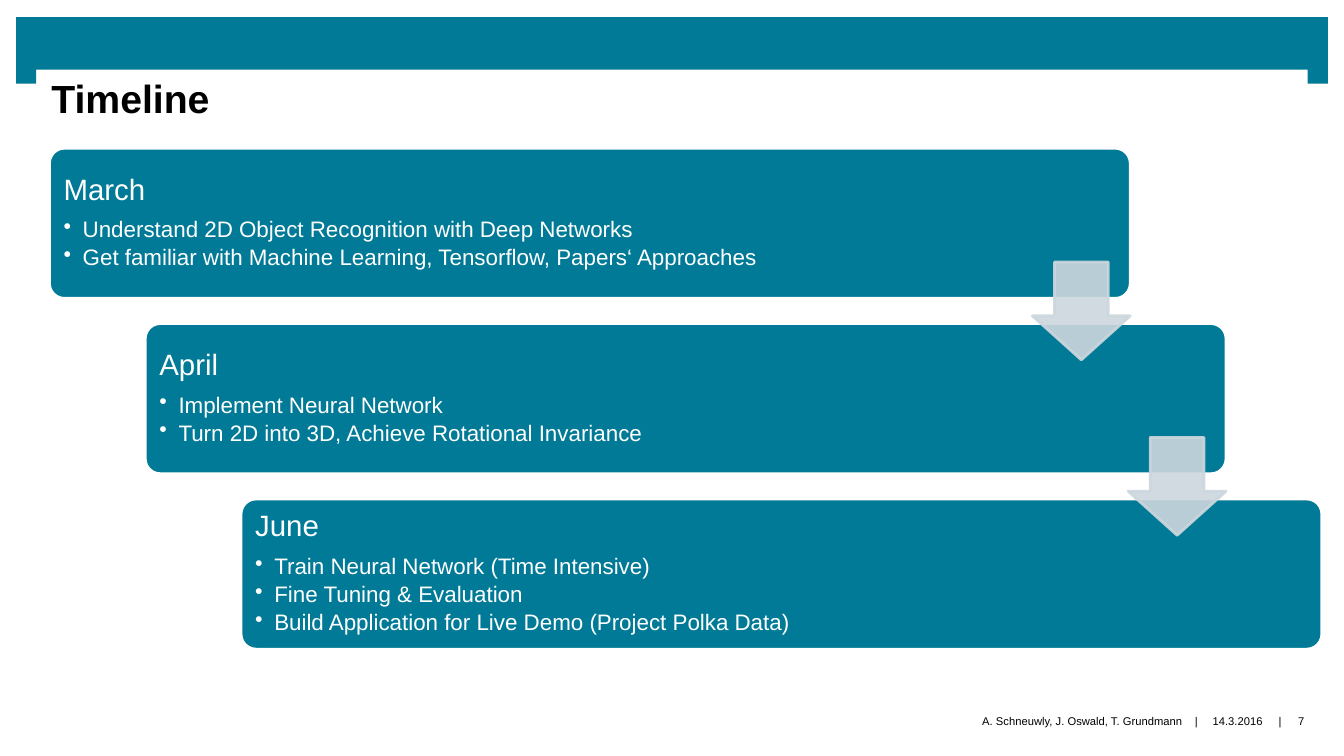
from lxml import etree
from pptx import Presentation
from pptx.dml.color import RGBColor
from pptx.enum.shapes import MSO_SHAPE
from pptx.enum.text import MSO_ANCHOR, PP_ALIGN
from pptx.oxml.ns import qn
from pptx.util import Inches, Pt

RECTANGLE = MSO_SHAPE.RECTANGLE
ROUNDED = MSO_SHAPE.ROUNDED_RECTANGLE
DOWN_ARROW = MSO_SHAPE.DOWN_ARROW
TOP, MIDDLE = MSO_ANCHOR.TOP, MSO_ANCHOR.MIDDLE
LEFT, CENTER, RIGHT = PP_ALIGN.LEFT, PP_ALIGN.CENTER, PP_ALIGN.RIGHT

COLORS = {"teal": "007A96", "arrow": "CCD7DD", "white": "FFFFFF", "black": "000000"}
RGB = {name: RGBColor.from_string(value) for name, value in COLORS.items()}

STEPS = [
    ("March", 9.11, [
        "Understand 2D Object Recognition with Deep Networks",
        "Get familiar with Machine Learning, Tensorflow, Papers‘ Approaches",
    ]),
    ("April", 8.71, [
        "Implement Neural Network",
        "Turn 2D into 3D, Achieve Rotational Invariance",
    ]),
    ("June", 8.71, [
        "Train Neural Network (Time Intensive)",
        "Fine Tuning & Evaluation",
        "Build Application for Live Demo (Project Polka Data)",
    ]),
]
STEP_LEFT, STEP_TOP = 0.49, 1.47
STEP_SHIFT, STEP_PITCH = 0.95, 1.74
ARROW_LEFT, ARROW_TOP, ARROW_SIZE = 10.24, 2.6, 0.97

FOOTER = [
    ("A. Schneuwly, J. Oswald, T. Grundmann", 6.66, 5.07, RIGHT),
    ("|", 11.79, 0.15, CENTER),
    ("14.3.2016", 11.94, 0.67, CENTER),
    ("|", 12.62, 0.15, CENTER),
    ("7", 12.71, 0.39, CENTER),
]

presentation = Presentation()
presentation.slide_width = Inches(13.33)
presentation.slide_height = Inches(7.5)
slide = presentation.slides.add_slide(presentation.slide_layouts[5])


def add_block(kind, left, top, width, height, fill, line=None):
    shape = slide.shapes.add_shape(
        kind, Inches(left), Inches(top), Inches(width), Inches(height))
    shape.shadow.inherit = False
    shape.fill.solid()
    shape.fill.fore_color.rgb = RGB[fill]
    if line:
        shape.line.color.rgb = RGB[line]
        shape.line.width = Pt(2)
    else:
        shape.line.fill.background()
    return shape


def format_text(frame, margins, anchor, lines, alignment=LEFT):
    frame.word_wrap = True
    frame.vertical_anchor = anchor
    sides = ("margin_left", "margin_top", "margin_right", "margin_bottom")
    for side, margin in zip(sides, margins):
        setattr(frame, side, Inches(margin))
    for index, (text, size, color, bold) in enumerate(lines):
        paragraph = frame.add_paragraph() if index else frame.paragraphs[0]
        paragraph.text = text
        paragraph.alignment = alignment
        font_format = {"name": "Arial", "size": Pt(size), "bold": bold}
        for name, value in font_format.items():
            setattr(paragraph.runs[0].font, name, value)
        paragraph.runs[0].font.color.rgb = RGB[color]


title = slide.shapes.title
title_box = {"left": 0.35, "top": 0.68, "width": 12.62, "height": 1.06}
for name, value in title_box.items():
    setattr(title, name, Inches(value))
title.fill.solid()
title.fill.fore_color.rgb = RGB["white"]
format_text(title.text_frame, (0.16, 0.06, 0.16, 0), TOP,
            [("Timeline", 28, "black", True)])

for left, top, width, height in [
    (0.16, 0.17, 13.01, 0.52), (0.16, 0.65, 0.2, 0.18), (12.97, 0.65, 0.2, 0.18),
]:
    add_block(RECTANGLE, left, top, width, height, "teal")

for text, left, width, alignment in FOOTER:
    footer_box = slide.shapes.add_textbox(
        Inches(left), Inches(6.9), Inches(width), Inches(0.5))
    format_text(footer_box.text_frame, (0, 0, 0, 0), MIDDLE,
                [(text, 8, "black", False)], alignment)

for index, (month, text_width, tasks) in enumerate(STEPS):
    left = STEP_LEFT + index * STEP_SHIFT
    top = STEP_TOP + index * STEP_PITCH
    card = add_block(ROUNDED, left, top, 10.72, 1.49, "teal", "white")
    card.adjustments[0] = 0.1
    text_box = slide.shapes.add_textbox(
        Inches(left + 0.05), Inches(top + 0.04), Inches(text_width), Inches(1.4))
    lines = [(month, 21, "white", False)]
    lines += [(task, 16, "white", False) for task in tasks]
    format_text(text_box.text_frame, (0.09,) * 4, MIDDLE, lines)
    heading, *bullets = text_box.text_frame.paragraphs
    heading.line_spacing = 0.9
    heading.space_after = Pt(8.5)
    for paragraph in bullets:
        paragraph.level = 1
        properties = paragraph._p.get_or_add_pPr()
        properties.set("marL", str(Inches(0.19)))
        properties.set("indent", str(-Inches(0.19)))
        etree.SubElement(properties, qn("a:buChar"), char="•")
        paragraph.line_spacing = 0.9
        paragraph.space_after = Pt(2.8)

for index in range(len(STEPS) - 1):
    arrow = add_block(DOWN_ARROW, ARROW_LEFT + index * STEP_SHIFT,
                      ARROW_TOP + index * STEP_PITCH,
                      ARROW_SIZE, ARROW_SIZE, "arrow", "arrow")
    arrow.adjustments[0] = 0.55
    arrow.adjustments[1] = 0.45
    for color in arrow._element.spPr.iter(qn("a:srgbClr")):
        etree.SubElement(color, qn("a:alpha"), val="90000")

presentation.save("out.pptx")
